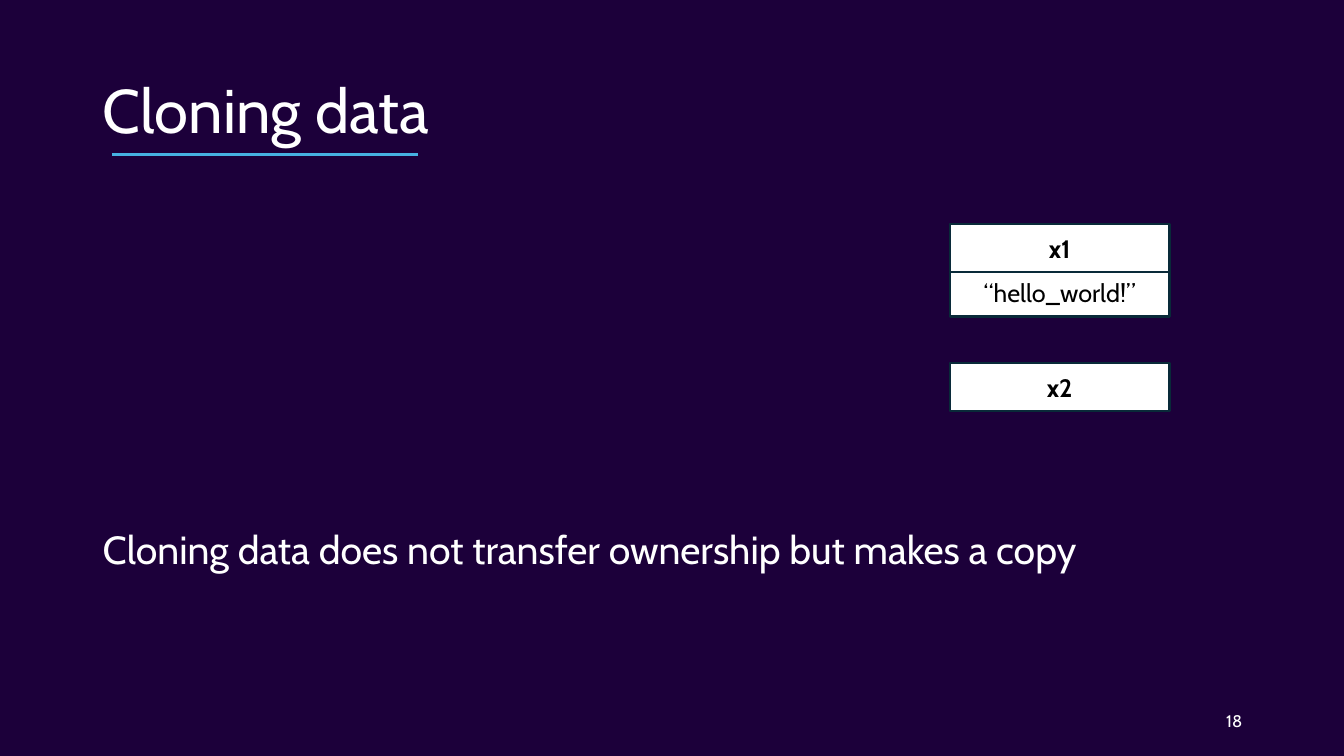
from dataclasses import dataclass

from lxml import etree
from pptx import Presentation
from pptx import util as u
from pptx.dml.color import RGBColor
from pptx.enum import shapes, text
from pptx.oxml import ns

FONT = "Cabin"
BACKGROUND = "1C003A"
WHITE = "FFFFFF"
BLACK = "000000"
BOX_LINE = "092A39"
ACCENT = "46B1E1"

BOX_LEFT, BOX_WIDTH, BOX_HEIGHT = 9.42, 2.18, 0.48
MARGIN, CONTENT_WIDTH = 0.92, 11.5


@dataclass
class VariableBox:
    label: str
    top: float
    bold: bool = True


# The value is drawn first so that the name overlaps its upper edge
BOXES = [
    VariableBox("“hello_world!”", 2.66, bold=False),
    VariableBox("x1", 2.22),
    VariableBox("x2", 3.6),
]


def color(value: str) -> RGBColor:
    return RGBColor.from_string(value)


def write_text(shape, content: str, *, size: float, font_color: str = WHITE,
               bold: bool = False, align=text.PP_ALIGN.LEFT,
               anchor=text.MSO_ANCHOR.MIDDLE, line_spacing: float = 1.0) -> None:
    frame = shape.text_frame
    frame.word_wrap = True
    frame.vertical_anchor = anchor
    paragraph = frame.paragraphs[0]
    paragraph.alignment = align
    paragraph.line_spacing = line_spacing
    run = paragraph.add_run()
    run.text = content
    run.font.name = FONT
    run.font.size = u.Pt(size)
    run.font.bold = bold
    run.font.color.rgb = color(font_color)


def add_text(slide, content: str, left: float, top: float, width: float,
             height: float, **text_format) -> None:
    shape = slide.shapes.add_textbox(
        u.Inches(left), u.Inches(top), u.Inches(width), u.Inches(height))
    write_text(shape, content, **text_format)


def add_variable_box(slide, box: VariableBox) -> None:
    shape = slide.shapes.add_shape(
        shapes.MSO_SHAPE.RECTANGLE, u.Inches(BOX_LEFT), u.Inches(box.top),
        u.Inches(BOX_WIDTH), u.Inches(BOX_HEIGHT))
    shape.shadow.inherit = False
    shape.fill.solid()
    shape.fill.fore_color.rgb = color(WHITE)
    shape.line.color.rgb = color(BOX_LINE)
    shape.line.width = u.Pt(1.5)
    write_text(shape, box.label, size=18, font_color=BLACK, bold=box.bold,
               align=text.PP_ALIGN.CENTER)


def add_underline(slide, left: float, right: float, top: float) -> None:
    line = slide.shapes.add_connector(
        shapes.MSO_CONNECTOR.STRAIGHT, u.Inches(left), u.Inches(top),
        u.Inches(right), u.Inches(top))
    line.line.color.rgb = color(ACCENT)
    line.line.width = u.Pt(2.25)
    etree.SubElement(line._element.spPr, ns.qn("a:effectLst"))


def main() -> None:
    presentation = Presentation()
    presentation.slide_width = u.Inches(13.33)
    presentation.slide_height = u.Inches(7.5)
    slide = presentation.slides.add_slide(presentation.slide_layouts[6])
    slide.background.fill.solid()
    slide.background.fill.fore_color.rgb = color(BACKGROUND)

    # Title and underline
    add_text(slide, "Cloning data", MARGIN, 0.4, CONTENT_WIDTH, 1.45,
             size=44, line_spacing=0.9)
    add_underline(slide, 1.11, 4.15, 1.53)

    # Variables and their value
    for box in BOXES:
        add_variable_box(slide, box)

    # Statement and slide number
    add_text(slide, "Cloning data does not transfer ownership but makes a copy",
             MARGIN, 5.22, CONTENT_WIDTH, 1.54, size=28, line_spacing=0.9,
             anchor=text.MSO_ANCHOR.TOP)
    add_text(slide, "18", 9.42, 6.95, 3, 0.4, size=12,
             align=text.PP_ALIGN.RIGHT)

    presentation.save("out.pptx")


if __name__ == "__main__":
    main()
